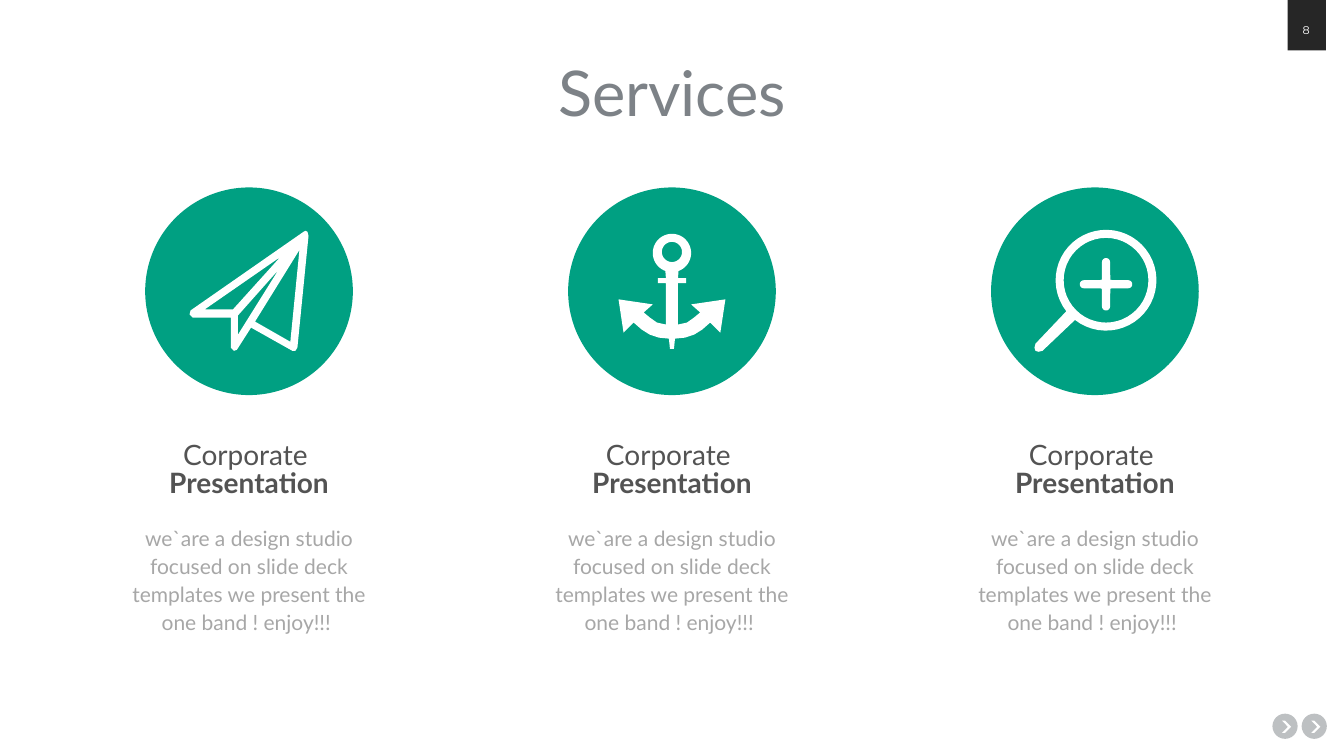
import math
import pptx
import pptx.util
import pptx.dml.color
import pptx.enum.shapes
import pptx.enum.text
import pptx.oxml.ns
import lxml.etree

TITLE = "Services"
PAGE_NUMBER = "8"
BLURB = "we`are a design studio focused on slide deck templates we present the one band ! enjoy!!! "
SERVICES = [
    {"icon": "plane", "heading": ("Corporate ", "Presentation"), "blurb": BLURB},
    {"icon": "anchor", "heading": ("Corporate ", "Presentation"), "blurb": BLURB},
    {"icon": "magnifier", "heading": ("Corporate ", "Presentation"), "blurb": BLURB},
]
COLORS = {
    "grey": "7D8287", "green": "00A082", "white": "FFFFFF", "dark": "262626",
    "number": "FEFEFE", "heading": "535353", "blurb": "A7A7A7",
}
WIDTH, HEIGHT = 13.33, 7.5
PITCH = 4.195
DISC, DISC_MIDDLE = 2.06, 2.89
BUTTON, BUTTON_TOP = 0.25, 7.08
BUTTON_LEFTS = (12.62, 12.91)

Inches, Pt = pptx.util.Inches, pptx.util.Pt
SHAPE = pptx.enum.shapes.MSO_SHAPE
ANCHOR = pptx.enum.text.MSO_ANCHOR
FIT = pptx.enum.text.MSO_AUTO_SIZE


def arc(x, y, radius, start=0, end=360, steps=48):
    angles = [math.radians(start + (end - start) * i / steps) for i in range(steps + 1)]
    return [(x + radius * math.cos(a), y + radius * math.sin(a)) for a in angles]


def plane():
    outline = [
        (0.54, -0.59), (-0.58, 0.19), (-0.59, 0.23), (-0.56, 0.26), (-0.18, 0.26),
        (-0.18, 0.56), (-0.15, 0.59), (-0.12, 0.58), (0.02, 0.36), (0.43, 0.59),
        (0.46, 0.59), (0.48, 0.56), (0.59, -0.55), (0.58, -0.59), (0.56, -0.6),
    ]
    right_fold = [(0.41, 0.5), (0.06, 0.3), (0.5, -0.41)]
    middle_fold = [(-0.11, 0.43), (-0.11, 0.24), (0.29, -0.21)]
    left_fold = [(-0.16, 0.18), (-0.44, 0.18), (0.31, -0.34)]
    return [outline, right_fold, middle_fold, left_fold]


def anchor():
    right = arc(0, -0.38, 0.19, -90, 70) + [
        (0.06, -0.13), (0.14, -0.13), (0.14, -0.08), (0.06, -0.08), (0.06, 0.33),
        (0.15, 0.31), (0.22, 0.26), (0.28, 0.21), (0.19, 0.13), (0.53, 0.08),
        (0.48, 0.41), (0.38, 0.31), (0.3, 0.38), (0.22, 0.43), (0.13, 0.46),
        (0.03, 0.47), (0.02, 0.57),
    ]
    left = [(-x, y) for x, y in reversed(right)]
    return [right + left, arc(0, -0.39, 0.1)]


def magnifier():
    handle = [(-0.52, 0.59), (-0.56, 0.6), (-0.59, 0.59), (-0.6, 0.56), (-0.59, 0.52)]
    rim = arc(0.11, -0.11, 0.5, 142, 488)
    plus = []
    for turn in (0, 90, 180, 270):
        a = math.radians(turn)
        plus += arc(0.11 + 0.22 * math.cos(a), -0.07 + 0.22 * math.sin(a), 0.04,
                    turn - 90, turn + 90, 12)
        plus += arc(0.11, -0.07, 0.06, turn + 45, turn + 45, 1)
    return [rim + handle, arc(0.11, -0.11, 0.42), plus]


ICONS = {"plane": plane, "anchor": anchor, "magnifier": magnifier}


def rgb(name):
    return pptx.dml.color.RGBColor.from_string(COLORS[name])


def paint(shape, color, alpha=None):
    shape.shadow.inherit = False
    shape.fill.solid()
    shape.fill.fore_color.rgb = rgb(color)
    shape.line.fill.background()
    if alpha:
        tint = shape.fill._xPr.find(".//" + pptx.oxml.ns.qn("a:srgbClr"))
        lxml.etree.SubElement(tint, pptx.oxml.ns.qn("a:alpha"), val=str(alpha * 1000))
    return shape


def add_block(slide, kind, left, top, width, height, color, alpha=None):
    box = map(Inches, (left, top, width, height))
    return paint(slide.shapes.add_shape(kind, *box), color, alpha)


def write(shape, lines, size, color, font="Lato", spacing=None, inset=None):
    frame = shape.text_frame
    frame.word_wrap = True
    frame.vertical_anchor = ANCHOR.MIDDLE
    if inset is not None:
        frame.margin_left = frame.margin_right = Inches(inset)
        frame.margin_top = frame.margin_bottom = Inches(inset)
    frame.text = "\n".join(lines)
    for paragraph in frame.paragraphs:
        paragraph.alignment = pptx.enum.text.PP_ALIGN.CENTER
        paragraph.line_spacing = spacing
        paragraph.font.size = Pt(size)
        paragraph.font.name = font
        paragraph.font.color.rgb = rgb(color)
    return frame


def add_text(slide, left, top, width, height, *args, **kwargs):
    box = slide.shapes.add_textbox(*map(Inches, (left, top, width, height)))
    return write(box, *args, **kwargs)


def add_icon(slide, contours, center):
    placed = [[(Inches(center + x), Inches(DISC_MIDDLE + y)) for x, y in contour]
              for contour in contours]
    builder = slide.shapes.build_freeform(*placed[0][0])
    builder.add_line_segments(placed[0][1:], close=True)
    for hole in placed[1:]:
        builder.move_to(*hole[0])
        builder.add_line_segments(hole[1:], close=True)
    paint(builder.convert_to_shape(), "white")


def add_service(slide, service, center):
    add_text(slide, center - 1.355, 5.12, 2.71, 1.25, [service["blurb"]], 15, "blurb",
             spacing=Pt(20), inset=0.08)
    heading = add_text(slide, center - 1.5, 4.39, 3, 0.56, service["heading"], 20, "heading",
                       spacing=Pt(20), inset=0)
    heading.paragraphs[1].font.bold = True
    add_block(slide, SHAPE.OVAL, center - DISC / 2, DISC_MIDDLE - DISC / 2, DISC, DISC, "green")
    add_icon(slide, ICONS[service["icon"]](), center)


def add_navigation(slide):
    for left in BUTTON_LEFTS:
        add_block(slide, SHAPE.OVAL, left, BUTTON_TOP, BUTTON, BUTTON, "grey", 50)
        chevron = add_block(slide, SHAPE.CHEVRON, left + 0.095, BUTTON_TOP + 0.07,
                            0.09, 0.12, "white")
        chevron.adjustments[0] = 0.66
    add_block(slide, SHAPE.RECTANGLE, 12.77, -0.03, 0.38, 0.53, "dark")
    add_text(slide, 12.72, 0.19, 0.47, 0.21, [PAGE_NUMBER], 8, "number", font="Montserrat")


def main():
    deck = pptx.Presentation()
    deck.slide_width, deck.slide_height = Inches(WIDTH), Inches(HEIGHT)
    slide = deck.slides.add_slide(deck.slide_layouts[5])
    add_navigation(slide)

    title = slide.shapes.title
    title.left, title.top = Inches(WIDTH / 2 - 1.285), Inches(0.48)
    title.width, title.height = Inches(2.57), Inches(0.86)
    frame = write(title, [TITLE], 45, "grey")
    frame.vertical_anchor = ANCHOR.TOP
    frame.word_wrap = False
    frame.auto_size = FIT.SHAPE_TO_FIT_TEXT

    for column, service in enumerate(SERVICES):
        add_service(slide, service, WIDTH / 2 + (column - 1) * PITCH)
    deck.save("out.pptx")


if __name__ == "__main__":
    main()
